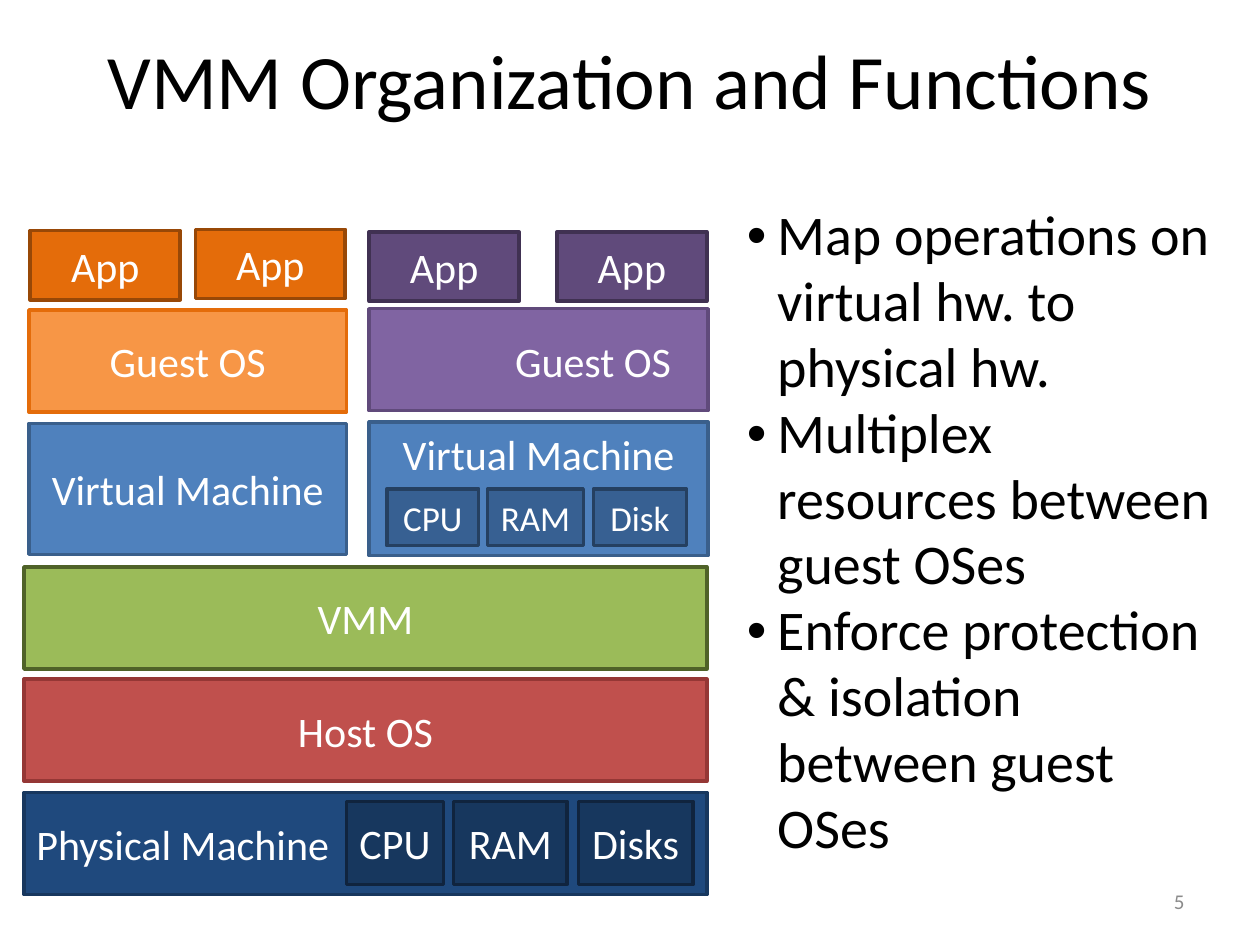
from dataclasses import dataclass

from lxml import etree
from pptx import Presentation
from pptx.dml.color import RGBColor
from pptx.enum.shapes import MSO_SHAPE
from pptx.enum.text import MSO_ANCHOR, PP_ALIGN
from pptx.oxml.ns import qn
from pptx.util import Inches, Pt

RECTANGLE = MSO_SHAPE.RECTANGLE
TOP, MIDDLE = MSO_ANCHOR.TOP, MSO_ANCHOR.MIDDLE
LEFT, CENTER, RIGHT = PP_ALIGN.LEFT, PP_ALIGN.CENTER, PP_ALIGN.RIGHT


@dataclass(frozen=True)
class Theme:
    font: str = "Calibri"
    title_size: int = 44
    bullet_size: int = 32
    block_size: int = 24
    small_size: int = 20
    number_size: int = 12
    outline: int = 2
    ink: str = "000000"
    paper: str = "FFFFFF"
    muted: str = "8B8B8B"
    physical: tuple = ("1F497D", "17375E")
    physical_part: tuple = ("17375E", "10243E")
    host: tuple = ("C0504D", "953735")
    vmm: tuple = ("9BBB59", "4F6228")
    machine: tuple = ("4F81BD", "3A5F8B")
    machine_part: tuple = ("376092", "254061")
    orange_guest: tuple = ("F79646", "E46C0A")
    orange_app: tuple = ("E46C0A", "984807")
    purple_guest: tuple = ("8064A2", "604A7B")
    purple_app: tuple = ("604A7B", "403152")


class SlideBuilder:
    """Draws the parts of one slide in a shared style."""

    def __init__(self, deck, theme):
        self.theme = theme
        self.slide = deck.slides.add_slide(deck.slide_layouts[5])

    def add_words(self, paragraph, words, size, color, align):
        paragraph.alignment = align
        run = paragraph.add_run()
        run.text = words
        run.font.name = self.theme.font
        run.font.size = Pt(size)
        run.font.color.rgb = RGBColor.from_string(color)

    def title(self, words, left, top, width, height):
        heading = self.slide.shapes.title
        heading.left, heading.top = Inches(left), Inches(top)
        heading.width, heading.height = Inches(width), Inches(height)
        heading.text_frame.vertical_anchor = MIDDLE
        self.add_words(heading.text_frame.paragraphs[0], words,
                       self.theme.title_size, self.theme.ink, CENTER)

    def block(self, words, colors, left, top, width, height,
              size=None, align=CENTER, anchor=MIDDLE):
        fill, line = colors
        rect = self.slide.shapes.add_shape(
            RECTANGLE, Inches(left), Inches(top), Inches(width), Inches(height))
        rect.shadow.inherit = False
        rect.fill.solid()
        rect.fill.fore_color.rgb = RGBColor.from_string(fill)
        rect.line.color.rgb = RGBColor.from_string(line)
        rect.line.width = Pt(self.theme.outline)
        rect.text_frame.word_wrap = True
        rect.text_frame.vertical_anchor = anchor
        if words:
            self.add_words(rect.text_frame.paragraphs[0], words,
                           size or self.theme.block_size, self.theme.paper, align)

    def frame(self, left, top, width, height, wrap=True, anchor=TOP):
        box = self.slide.shapes.add_textbox(
            Inches(left), Inches(top), Inches(width), Inches(height))
        box.text_frame.word_wrap = wrap
        box.text_frame.vertical_anchor = anchor
        return box.text_frame

    def label(self, words, size, color, align, *place, wrap=True, anchor=TOP):
        frame = self.frame(*place, wrap=wrap, anchor=anchor)
        self.add_words(frame.paragraphs[0], words, size, color, align)

    def bullets(self, items, left, top, width, height, indent):
        frame = self.frame(left, top, width, height)
        frame.margin_top = Inches(0.09)
        for index, words in enumerate(items):
            paragraph = frame.add_paragraph() if index else frame.paragraphs[0]
            paragraph.line_spacing = 0.98
            properties = paragraph._p.get_or_add_pPr()
            properties.set("marL", str(Inches(indent)))
            properties.set("indent", str(-Inches(indent)))
            etree.SubElement(properties, qn("a:buFont")).set("typeface", "Arial")
            etree.SubElement(properties, qn("a:buChar")).set("char", "•")
            self.add_words(paragraph, words, self.theme.bullet_size,
                           self.theme.ink, LEFT)


def main():
    deck = Presentation()
    deck.slide_width, deck.slide_height = Inches(10), Inches(7.5)
    theme = Theme()
    page = SlideBuilder(deck, theme)
    page.title("VMM Organization and Functions", 0.5, 0, 9, 1.25)

    layers = [("VMM", theme.vmm, 4.5, CENTER),
              ("Host OS", theme.host, 5.39, CENTER),
              ("Physical Machine", theme.physical, 6.29, LEFT)]
    for words, colors, top, align in layers:
        page.block(words, colors, 0.19, top, 5.42, 0.81, align=align)

    page.block("Virtual Machine", theme.machine, 0.23, 3.36, 2.52, 1.04)
    page.block("Virtual Machine", theme.machine, 2.93, 3.35, 2.69, 1.06, anchor=TOP)

    hardware = [
        (theme.physical_part, theme.block_size, 6.36, 0.66,
         [("CPU", 2.75, 0.77), ("RAM", 3.6, 0.9), ("Disks", 4.59, 0.91)]),
        (theme.machine_part, theme.small_size, 3.88, 0.45,
         [("CPU", 3.07, 0.73), ("RAM", 3.87, 0.76), ("Disk", 4.71, 0.74)]),
    ]
    for colors, size, top, height, parts in hardware:
        for words, left, width in parts:
            page.block(words, colors, left, top, width, height, size)

    page.block("Guest OS", theme.orange_guest, 0.23, 2.46, 2.52, 0.81)
    page.block("", theme.purple_guest, 2.93, 2.45, 2.69, 0.81)
    page.label("Guest OS", theme.block_size, theme.paper, LEFT,
               3.99, 2.61, 1.44, 0.5, wrap=False)

    apps = [(theme.orange_app, 0.24, 1.83), (theme.orange_app, 1.55, 1.82),
            (theme.purple_app, 2.93, 1.84), (theme.purple_app, 4.42, 1.84)]
    for colors, left, top in apps:
        page.block("App", colors, left, top, 1.19, 0.55)

    page.bullets(["Map operations on virtual hw. to physical hw.",
                  "Multiplex resources between guest OSes",
                  "Enforce protection & isolation between guest OSes"],
                 5.83, 1.52, 3.95, 5.6, indent=0.24)
    page.label("5", theme.number_size, theme.muted, RIGHT,
               7.17, 6.95, 2.33, 0.4, anchor=MIDDLE)
    deck.save("out.pptx")


if __name__ == "__main__":
    main()
